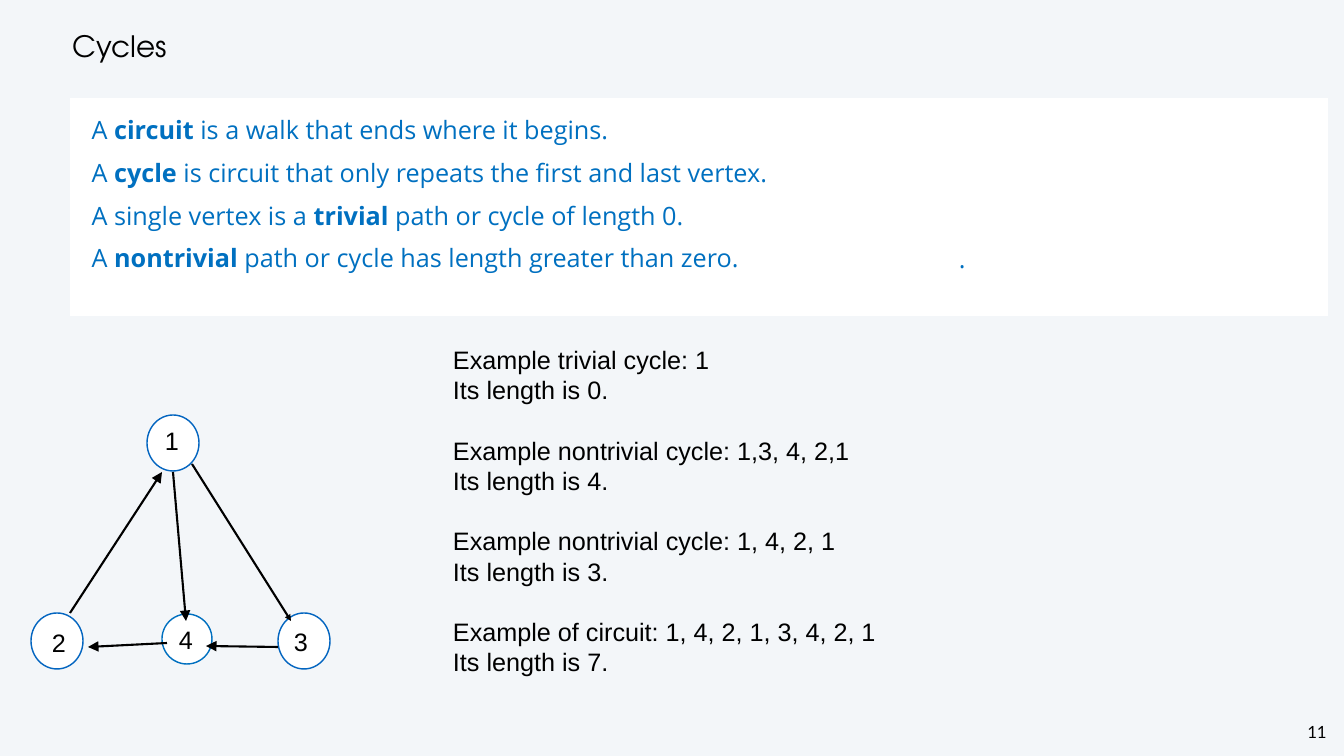
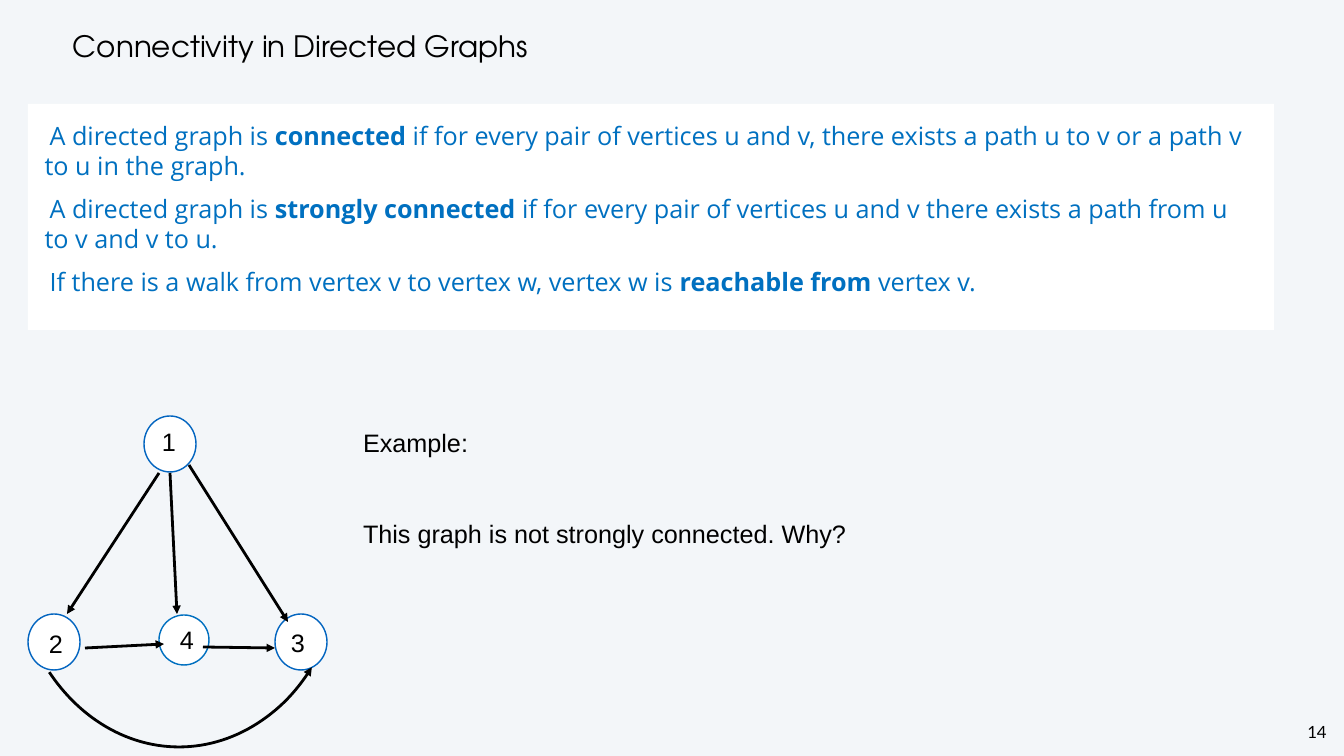
from dataclasses import dataclass
from lxml.etree import SubElement
from pptx import Presentation
from pptx.dml.color import RGBColor
from pptx.enum.shapes import MSO_CONNECTOR as Connector, MSO_SHAPE as Preset
from pptx.enum.text import MSO_ANCHOR as Anchor, PP_ALIGN as Align
from pptx.oxml.ns import qn
from pptx.util import Pt

SCALE = 914400 / 50.4


@dataclass(frozen=True)
class Theme:
    """Colours, fonts and type sizes shared by the slides."""
    page: str = "F3F6F9"
    panel: str = "FFFFFF"
    ink: str = "000000"
    accent: str = "0070C0"
    ring: str = "0365C0"
    title_font: str = "TeX Gyre Adventor"
    body_font: str = "Open Sans"
    plain_font: str = "Arial"
    number_font: str = "Lato"
    title_size: int = 42
    text_size: int = 36
    number_size: int = 24
    text_line: float = 43.2


THEME = Theme()
NODES = {1: (116, 0, 52, 56), 2: (0, 198, 52, 56),
         3: (247, 198, 52, 56), 4: (131, 199, 50, 50)}
LABEL_SHIFTS = {1: (15, 7), 2: (18, 11), 3: (13, 10), 4: (14, 7)}
EDGE_ENDS = {(1, 2): ((131, 57), (39, 198)), (1, 3): ((161, 49), (260, 206)),
             (1, 4): ((142, 57), (155, 206)), (2, 4): ((57, 232), (136, 228)),
             (4, 3): ((175, 231), (247, 232))}


def px(*lengths):
    """Turn picture pixels into EMU."""
    return [round(length * SCALE) for length in lengths]


def colour(value):
    """Return the colour object for a hex value."""
    return RGBColor.from_string(value)


def style(paragraph, font, size, ink):
    """Format every run of a paragraph."""
    for run in paragraph.runs:
        run.font.name = font
        run.font.size = Pt(size)
        run.font.color.rgb = colour(ink)


def prepare_frame(shape, inset=3, anchor=Anchor.MIDDLE):
    """Set margins, anchor and wrapping and return the text frame."""
    frame = shape.text_frame
    frame.word_wrap = True
    frame.vertical_anchor = anchor
    margin, = px(inset)
    frame.margin_left = frame.margin_right = margin
    frame.margin_top = frame.margin_bottom = margin
    return frame


def add_text(slide, box, text, font, size, ink=THEME.ink, **frame_options):
    """Add a one-paragraph text box and return its paragraph."""
    frame = prepare_frame(slide.shapes.add_textbox(*px(*box)), **frame_options)
    frame.text = text
    paragraph = frame.paragraphs[0]
    style(paragraph, font, size, ink)
    return paragraph


def add_page(presentation, title, number):
    """Add a slide with background, page number and title."""
    slide = presentation.slides.add_slide(presentation.slide_layouts[6])
    slide.background.fill.solid()
    slide.background.fill.fore_color.rgb = colour(THEME.page)
    paragraph = add_text(slide, (1302, 720, 30, 24), number, THEME.number_font,
                         THEME.number_size, inset=2, anchor=Anchor.TOP)
    paragraph.alignment = Align.CENTER
    paragraph.line_spacing = Pt(28)
    heading = add_text(slide, (70, 21, 1140, 50), title, THEME.title_font, THEME.title_size)
    heading.line_spacing = Pt(50)
    heading.space_before = Pt(3)
    return slide


def add_definitions(slide, box, definitions):
    """Add the white panel; terms between asterisks are bold."""
    panel = slide.shapes.add_shape(Preset.RECTANGLE, *px(*box))
    panel.shadow.inherit = False
    panel.fill.solid()
    panel.fill.fore_color.rgb = colour(THEME.panel)
    panel.line.fill.background()
    frame = prepare_frame(panel, inset=16.6, anchor=Anchor.TOP)
    for index, definition in enumerate(definitions):
        paragraph = frame.add_paragraph() if index else frame.paragraphs[0]
        for position, piece in enumerate(definition.split("*")):
            run = paragraph.add_run()
            run.text = piece
            run.font.bold = position % 2 == 1
        style(paragraph, THEME.body_font, THEME.text_size, THEME.accent)
        paragraph.alignment = Align.LEFT
        paragraph.line_spacing = Pt(43)
        paragraph.space_before = Pt(18)
        properties = paragraph._p.get_or_add_pPr()
        properties.set("marL", "0")
        properties.set("indent", str(px(5)[0]))


def add_examples(slide, box, groups, gap_lines=1):
    """Add groups of plain lines, set apart by whole line heights."""
    frame = prepare_frame(slide.shapes.add_textbox(*px(*box)))
    lines = [(line, index) for group in groups for index, line in enumerate(group)]
    frame.text = "\n".join(line for line, _ in lines)
    for number, (paragraph, (_, index)) in enumerate(zip(frame.paragraphs, lines)):
        style(paragraph, THEME.plain_font, THEME.text_size, THEME.ink)
        paragraph.line_spacing = Pt(THEME.text_line)
        if number and not index:
            paragraph.space_before = Pt(gap_lines * THEME.text_line)


def set_stroke(shape, width, end, size):
    """Give a line or arc its ink, width and arrowhead."""
    shape.line.color.rgb = colour(THEME.ink)
    shape.line.width = Pt(width)
    outline = shape.line._get_or_add_ln()
    SubElement(outline, qn(end), type="triangle", w=size, len=size)


def add_edge(slide, start, tip, width, size):
    """Add an arrow between two points."""
    edge = slide.shapes.add_connector(Connector.STRAIGHT, *px(*start, *tip))
    set_stroke(edge, width, "a:tailEnd", size)
    SubElement(edge._element.spPr, qn("a:effectLst"))


def add_graph(slide, origin, edges, width, label_shifts, edge_ends):
    """Draw the four labelled vertices and their directed edges."""
    left, top = origin
    for node, (x, y, node_width, node_height) in NODES.items():
        ring = slide.shapes.add_shape(
            Preset.OVAL, *px(left + x, top + y, node_width, node_height))
        ring.shadow.inherit = False
        ring.fill.solid()
        ring.fill.fore_color.rgb = colour(THEME.panel)
        ring.line.color.rgb = colour(THEME.accent if node == 4 else THEME.ring)
        ring.line.width = Pt(2)
        shift_x, shift_y = label_shifts[node]
        add_text(slide, (left + x + shift_x, top + y + shift_y, 54, 36), str(node),
                 THEME.plain_font, THEME.text_size)
    for source, target, size in edges:
        ends = edge_ends.get((source, target)) or edge_ends[target, source][::-1]
        start, tip = [(left + x, top + y) for x, y in ends]
        add_edge(slide, start, tip, width, size)


def add_return_arc(slide, origin, width):
    """Add the curved edge from vertex 2 to vertex 3."""
    left, top = origin
    arc = slide.shapes.add_shape(Preset.ARC, *px(left - 15, top - 67, 332, 398))
    arc.shadow.inherit = False
    arc.adjustments[0] = 25.15
    arc.adjustments[1] = 81.74
    arc.fill.background()
    set_stroke(arc, width, "a:headEnd", "med")


def build_cycles(presentation):
    """Build the slide on cycles."""
    slide = add_page(presentation, "Cycles", "11")
    add_definitions(slide, (70, 98, 1258, 218), [
        "A *circuit *is a walk that ends where it begins.",
        "A *cycle *is circuit that only repeats the first and last vertex.",
        "A single vertex is a *trivial *path or cycle of length 0.",
        "A *nontrivial *path or cycle has length greater than zero."])
    add_text(slide, (956, 238, 24, 40), ".", THEME.body_font, THEME.text_size, THEME.accent)
    add_examples(slide, (450, 340, 550, 341), [
        ("Example trivial cycle: 1", "Its length is 0."),
        ("Example nontrivial cycle: 1,3, 4, 2,1", "Its length is 4."),
        ("Example nontrivial cycle: 1, 4, 2, 1", "Its length is 3."),
        ("Example of circuit: 1, 4, 2, 1, 3, 4, 2, 1", "Its length is 7.")])
    edges = [(2, 1, "lg"), (1, 3, "med"), (1, 4, "lg"), (4, 2, "lg"), (3, 4, "lg")]
    add_graph(slide, (31, 415), edges, 3, LABEL_SHIFTS, EDGE_ENDS)


def build_connectivity(presentation):
    """Build the slide on connectivity."""
    slide = add_page(presentation, "Connectivity in Directed Graphs", "14")
    add_definitions(slide, (28, 104, 1246, 226), [
        "A directed graph is *connected* if for every pair of vertices u and v, "
        "there exists a path u to v or a path v to u in the graph.",
        "A directed graph is *strongly connected *if for every pair of vertices "
        "u and v there exists a path from u to v and v to u.",
        "If there is a walk from vertex v to vertex w, vertex w is "
        "*reachable from *vertex v."])
    origin, width = (28, 416), 4
    edges = [(1, 2, "med"), (1, 3, "med"), (1, 4, "med"), (2, 4, "med"), (4, 3, "med")]
    add_graph(slide, origin, edges, width, {**LABEL_SHIFTS, 4: (18, 6)},
              {**EDGE_ENDS, (1, 4): ((142, 57), (149, 198))})
    add_return_arc(slide, origin, width)
    add_examples(slide, (360, 424, 652, 128), [
        ("Example:",), ("This graph is not strongly connected. Why?",)], gap_lines=2)


def main():
    """Build and save the presentation."""
    presentation = Presentation()
    presentation.slide_width, presentation.slide_height = px(1344, 756)
    build_cycles(presentation)
    build_connectivity(presentation)
    presentation.save("out.pptx")


main()
